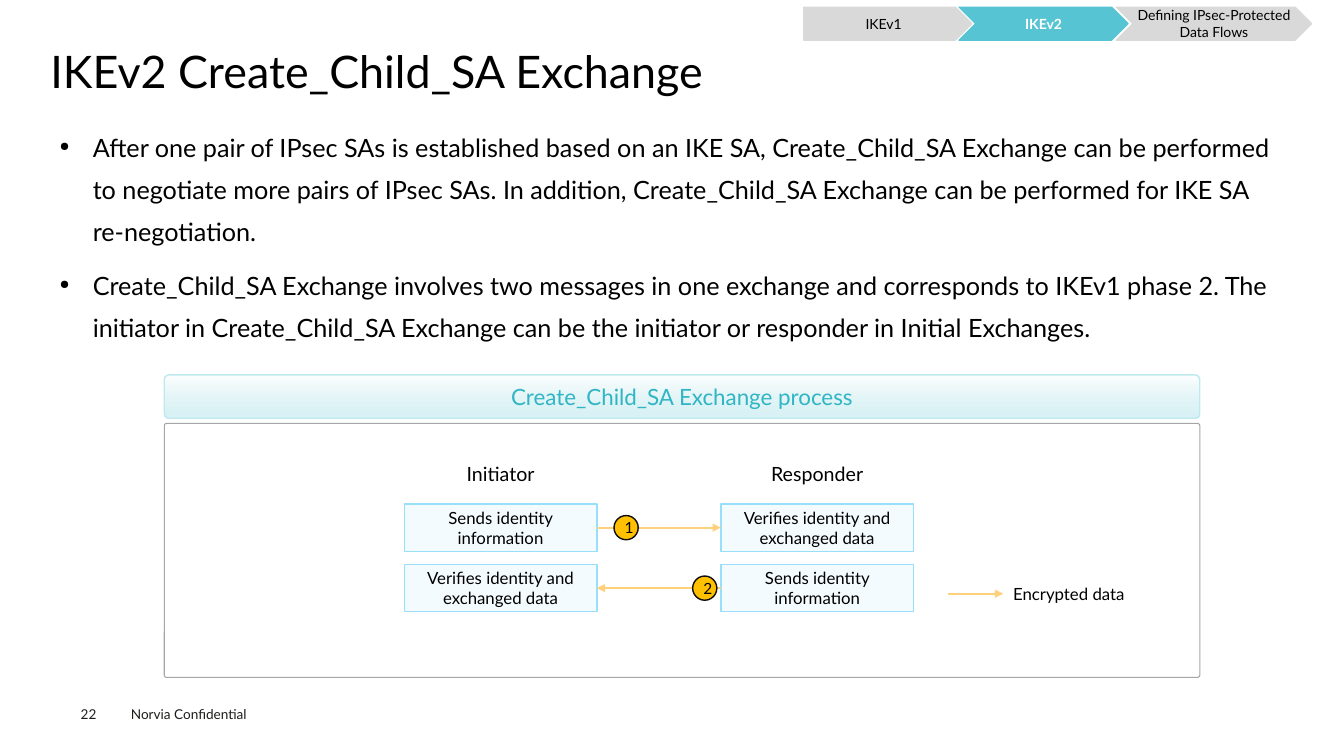
import pptx
import pptx.util
import pptx.dml.color
import pptx.enum.shapes
import pptx.enum.text
import pptx.oxml.ns
from dataclasses import dataclass
from lxml import etree

Inches, Pt = pptx.util.Inches, pptx.util.Pt
SHAPE = pptx.enum.shapes.MSO_SHAPE
ALIGN = pptx.enum.text.PP_ALIGN
ANCHOR = pptx.enum.text.MSO_ANCHOR
qn = pptx.oxml.ns.qn


@dataclass(frozen=True)
class Theme:
    font: str = "Lato"
    black: str = "000000"
    white: str = "FFFFFF"
    footer: str = "1D1D1B"
    teal: str = "56C4D2"
    header_text: str = "30B5C5"
    header_tint: str = "BEE9EE"
    grey: str = "D9D9D9"
    frame: str = "A6A6A6"
    step_fill: str = "F4FBFE"
    step_line: str = "99DFF9"
    encrypted: str = "FFD17D"
    badge_fill: str = "FFC000"
    badge_line: str = "0D0D0D"
    title_size: float = 32
    body_size: float = 18
    header_size: float = 16
    role_size: float = 14
    step_size: float = 12
    badge_size: float = 11
    nav_size: float = 10
    footer_size: float = 9.7


THEME = Theme()


def rgb(value):
    return pptx.dml.color.RGBColor.from_string(value)


def write(shape, *texts, size, color=THEME.black, bold=False, align=ALIGN.LEFT,
          anchor=ANCHOR.TOP, insets=(0.1, 0.05), wrap=True, spacing=None,
          gap=0, bullet=None, indent=0.0):
    frame = shape.text_frame
    frame.auto_size = pptx.enum.text.MSO_AUTO_SIZE.NONE
    frame.word_wrap = wrap
    frame.vertical_anchor = anchor
    frame.margin_left = frame.margin_right = Inches(insets[0])
    frame.margin_top = frame.margin_bottom = Inches(insets[1])
    for index, text in enumerate(texts):
        paragraph = frame.add_paragraph() if index else frame.paragraphs[0]
        paragraph.alignment = align
        if spacing:
            paragraph.line_spacing = spacing
        paragraph.space_before = Pt(gap if index else 0)
        if bullet:
            props = paragraph._p.get_or_add_pPr()
            props.set("marL", str(Inches(indent)))
            props.set("indent", str(-Inches(indent)))
            etree.SubElement(props, qn("a:buSzPct"), val="50000")
            etree.SubElement(props, qn("a:buChar"), char=bullet)
        run = paragraph.add_run()
        run.text = text
        run.font.name = THEME.font
        run.font.size = Pt(size)
        run.font.bold = bold
        run.font.color.rgb = rgb(color)
    return shape


def label(slide, box, *texts, **style):
    return write(slide.shapes.add_textbox(*map(Inches, box)), *texts, **style)


def block(slide, kind, box, fill=None, line=None, weight=1, corner=None):
    shape = slide.shapes.add_shape(kind, *map(Inches, box))
    shape.shadow.inherit = False
    if fill:
        shape.fill.solid()
        shape.fill.fore_color.rgb = rgb(fill)
    else:
        shape.fill.background()
    shape.line.color.rgb = rgb(line)
    shape.line.width = Pt(weight)
    if corner is not None:
        shape.adjustments[0] = corner
    return shape


def encrypted_arrow(slide, start, end, y):
    arrow = slide.shapes.add_connector(
        pptx.enum.shapes.MSO_CONNECTOR.STRAIGHT,
        *map(Inches, (start, y, end, y)))
    arrow.line.color.rgb = rgb(THEME.encrypted)
    arrow.line.width = Pt(1.5)
    etree.SubElement(arrow.line._get_or_add_ln(), qn("a:tailEnd"), type="triangle")
    etree.SubElement(arrow._element.spPr, qn("a:effectLst"))


def add_title(slide, box, text):
    title = slide.shapes.title
    title.left, title.top, title.width, title.height = map(Inches, box)
    write(title, text, size=THEME.title_size, insets=(0, 0), spacing=0.9)


def add_navigation(slide, box):
    left, top, _, height = box
    # offset, width, outline, text, is current chapter, side inset
    chapters = [
        (0, 1.67, SHAPE.PENTAGON, "IKEv1", False, 0),
        (1.54, 1.68, SHAPE.CHEVRON, "IKEv2", True, 0),
        (3.1, 1.94, SHAPE.CHEVRON, "Defining IPsec-Protected Data Flows", False, 0.04),
    ]
    for offset, width, outline, text, current, inset in chapters:
        color = THEME.teal if current else THEME.grey
        chapter = block(slide, outline, (left + offset, top, width, height),
                        color, color, 0.75)
        write(chapter, text, size=THEME.nav_size, bold=current,
              color=THEME.white if current else THEME.black,
              align=ALIGN.CENTER, anchor=ANCHOR.MIDDLE, insets=(inset, 0))


def add_process_header(slide, box):
    header = block(slide, SHAPE.ROUNDED_RECTANGLE, box,
                   line=THEME.header_tint, corner=0.106)
    header.fill.gradient()
    header.fill.gradient_angle = 270
    top_stop, bottom_stop = header.fill.gradient_stops
    top_stop.color.rgb = rgb(THEME.white)
    bottom_stop.color.rgb = rgb(THEME.header_tint)
    tint = bottom_stop._gs.find(qn("a:srgbClr"))
    etree.SubElement(tint, qn("a:alpha"), val="60000")
    write(header, "Create_Child_SA Exchange process", size=THEME.header_size,
          color=THEME.header_text, align=ALIGN.CENTER, anchor=ANCHOR.MIDDLE,
          insets=(0, 0))


def add_process(slide, box):
    left, top, width, height = box
    add_process_header(slide, (left, top, width, 0.43))
    block(slide, SHAPE.ROUNDED_RECTANGLE, (left, top + 0.48, width, height - 0.48),
          line=THEME.frame, weight=0.75, corner=0.009)

    # Roles
    step_width, step_height = 1.91, 0.47
    initiator, responder = left + 2.38, left + 5.52
    for x, role in ((initiator, "Initiator"), (responder, "Responder")):
        label(slide, (x, top + 0.81, step_width, 0.34), role,
              size=THEME.role_size, align=ALIGN.CENTER)

    # Messages: sender, receiver, badge offset from the initiator column
    sends = "Sends identity information"
    verifies = "Verifies identity and exchanged data"
    messages = [(initiator, responder, 2.08), (responder, initiator, 2.86)]
    gap_start, gap_end = initiator + step_width, responder
    badge = 0.24
    for number, (sender, receiver, badge_offset) in enumerate(messages, 1):
        y = top + 1.28 + (number - 1) * 0.6
        middle = y + step_height / 2
        for x, text in ((sender, sends), (receiver, verifies)):
            step = block(slide, SHAPE.RECTANGLE, (x, y, step_width, step_height),
                         THEME.step_fill, THEME.step_line)
            write(step, text, size=THEME.step_size, align=ALIGN.CENTER,
                  anchor=ANCHOR.MIDDLE)
        ends = (gap_start, gap_end) if sender < receiver else (gap_end, gap_start)
        encrypted_arrow(slide, *ends, middle)
        marker = block(slide, SHAPE.OVAL,
                       (initiator + badge_offset, middle - badge / 2, badge, badge),
                       THEME.badge_fill, THEME.badge_line)
        write(marker, str(number), size=THEME.badge_size, align=ALIGN.CENTER,
              anchor=ANCHOR.MIDDLE)

    # Legend
    legend = left + 7.77
    encrypted_arrow(slide, legend, legend + 0.55, top + 2.17)
    label(slide, (legend + 0.55, top + 2.02, 1.36, 0.3), "Encrypted data",
          size=THEME.step_size, wrap=False)


def add_footer(slide, box):
    left, top, width, height = box
    label(slide, (left, top + 0.05, 0.35, 0.16), "22", size=THEME.footer_size,
          color=THEME.footer, insets=(0, 0))
    label(slide, (left + 0.4, top, width - 0.4, height), "Norvia Confidential",
          size=THEME.footer_size, color=THEME.footer)


def main():
    deck = pptx.Presentation()
    deck.slide_width, deck.slide_height = Inches(13.33), Inches(7.5)
    slide = deck.slides.add_slide(deck.slide_layouts.get_by_name("Title Only"))

    add_footer(slide, (0.8, 6.95, 2, 0.27))
    add_title(slide, (0.5, 0.49, 12.35, 0.54), "IKEv2 Create_Child_SA Exchange")
    label(slide, (0.5, 1.15, 12.35, 2.4),
          "After one pair of IPsec SAs is established based on an IKE SA, "
          "Create_Child_SA Exchange can be performed to negotiate more pairs of "
          "IPsec SAs. In addition, Create_Child_SA Exchange can be performed for "
          "IKE SA re-negotiation.",
          "Create_Child_SA Exchange involves two messages in one exchange and "
          "corresponds to IKEv1 phase 2. The initiator in Create_Child_SA Exchange "
          "can be the initiator or responder in Initial Exchanges.",
          size=THEME.body_size, insets=(0.09, 0.04), spacing=1.4, gap=7.9,
          bullet="●", indent=0.33)
    add_process(slide, (1.63, 3.72, 10.27, 3))
    add_navigation(slide, (7.97, 0.07, 5.04, 0.33))

    deck.save("out.pptx")


if __name__ == "__main__":
    main()
